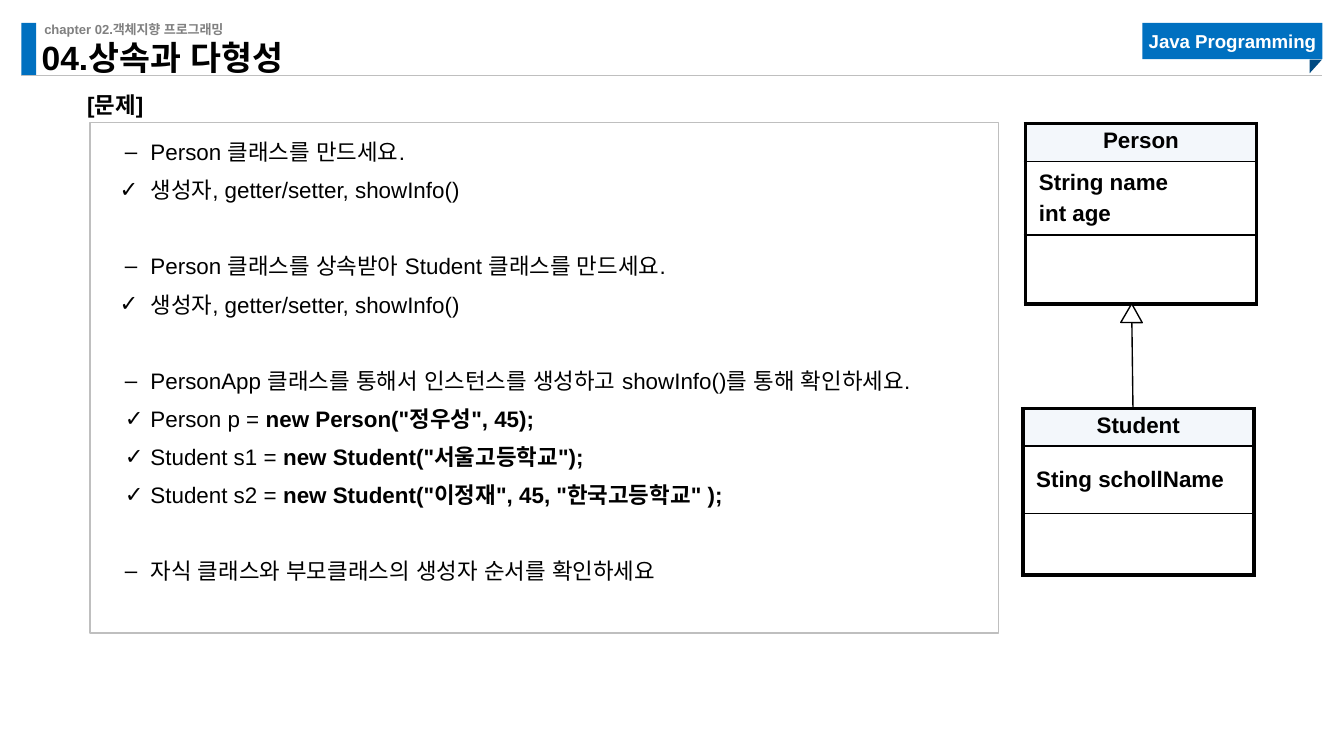
from dataclasses import dataclass

from lxml import etree
from pptx import Presentation
from pptx.dml.color import RGBColor
from pptx.enum.shapes import MSO_CONNECTOR, MSO_SHAPE
from pptx.enum.text import MSO_ANCHOR, PP_ALIGN
from pptx.oxml.ns import qn
from pptx.util import Inches, Pt

RECT, TRIANGLE, CORNER = MSO_SHAPE.RECTANGLE, MSO_SHAPE.ISOSCELES_TRIANGLE, MSO_SHAPE.RIGHT_TRIANGLE
LINE = MSO_CONNECTOR.STRAIGHT
TOP, MIDDLE, BOTTOM = MSO_ANCHOR.TOP, MSO_ANCHOR.MIDDLE, MSO_ANCHOR.BOTTOM
LEFT, CENTER = PP_ALIGN.LEFT, PP_ALIGN.CENTER


@dataclass(frozen=True)
class Theme:
    font: str = "Arial"
    black: str = "000000"
    white: str = "FFFFFF"
    grey: str = "808080"
    rule: str = "BFBFBF"
    blue: str = "0070C0"
    navy: str = "004A82"
    header: str = "F3F7FB"
    small: float = 7
    tag: float = 10
    body: float = 12
    title: float = 18


T = Theme()


def add_run(p, text, size=T.body, color=T.black, bold=False):
    r = p.add_run()
    r.text = text
    r.font.name = T.font
    r.font.size = Pt(size)
    r.font.bold = bold
    r.font.color.rgb = RGBColor.from_string(color)
    latin = r.font._element.find(qn("a:latin"))
    latin.addnext(latin.makeelement(qn("a:ea"), {"typeface": T.font}))


def add_shape(kind, box, fill=None, line=None, rotation=0):
    sp = s.shapes.add_shape(kind, *map(Inches, box))
    sp.shadow.inherit = False
    sp.rotation = rotation
    if fill:
        sp.fill.solid()
        sp.fill.fore_color.rgb = RGBColor.from_string(fill)
    else:
        sp.fill.background()
    if line:
        sp.line.color.rgb = RGBColor.from_string(line)
        sp.line.width = Pt(0.75)
    else:
        sp.line.fill.background()
    return sp


# Widescreen 16:9 slide
prs = Presentation()
prs.slide_width = Inches(10)
prs.slide_height = prs.slide_width * 9 // 16
s = prs.slides.add_slide(prs.slide_layouts[6])

# Header bar and course tag
add_shape(RECT, (0.16, 0.17, 0.11, 0.39), T.blue)
tag = add_shape(RECT, (8.5, 0.17, 1.34, 0.27), T.blue)
add_shape(CORNER, (9.74, 0.45, 0.1, 0.09), T.navy, rotation=90)
tf = tag.text_frame
tf.margin_left = tf.margin_top = tf.margin_right = tf.margin_bottom = 0
tf.vertical_anchor = MIDDLE
tf.paragraphs[0].alignment = CENTER
add_run(tf.paragraphs[0], "Java Programming", T.tag, T.white, True)

# Chapter, title and section label
for box, text, size, color, anchor, spacing, inset in [
    ((0.33, 0.16, 3.23, 0.12), "chapter 02.객체지향 프로그래밍", T.small, T.grey, TOP, 1, (0, 0)),
    ((0.31, 0.35, 3.3, 0.23), "04.상속과 다형성", T.title, T.black, BOTTOM, 0.9, (0, 0)),
    ((0.55, 0.63, 2.38, 0.3), "[문제]", T.body, T.black, TOP, 1, (0.1, 0.05)),
]:
    tf = s.shapes.add_textbox(*map(Inches, box)).text_frame
    tf.word_wrap = True
    tf.margin_left = tf.margin_right = Inches(inset[0])
    tf.margin_top = tf.margin_bottom = Inches(inset[1])
    tf.vertical_anchor = anchor
    p = tf.paragraphs[0]
    p.line_spacing = spacing
    add_run(p, text, size, color, True)

# Class diagrams
for left, top, heights, name, fields in [
    (7.63, 0.92, (0.28, 0.55, 0.51), "Person", ["String name", "int age"]),
    (7.61, 3.04, (0.28, 0.5, 0.46), "Student", ["Sting schollName"]),
]:
    frame = s.shapes.add_table(3, 1, *map(Inches, (left, top, 1.72, sum(heights))))
    table = frame.table
    table.first_row = table.horz_banding = False
    for i, (height, lines) in enumerate(zip(heights, ([name], fields, []))):
        table.rows[i].height = Inches(height)
        cell = table.cell(i, 0)
        cell.vertical_anchor = MIDDLE if i == 1 else TOP
        for j, text in enumerate(lines):
            p = cell.text_frame.add_paragraph() if j else cell.text_frame.paragraphs[0]
            p.alignment = LEFT if i else CENTER
            if j:
                p.space_before = Pt(3)
            if i == 0:
                p.line_spacing = 0.9
            add_run(p, text, bold=True)
        # Thick outer borders, thin dividers
        tc_pr = cell._tc.get_or_add_tcPr()
        widths = {"L": 2.25, "R": 2.25, "T": 1 if i else 2.25, "B": 2.25 if i == 2 else 1}
        for side, width in widths.items():
            ln = etree.SubElement(tc_pr, qn(f"a:ln{side}"), w=str(Pt(width)))
            solid = etree.SubElement(ln, qn("a:solidFill"))
            etree.SubElement(solid, qn("a:srgbClr"), val=T.black)
        if i:
            cell.fill.background()
        else:
            cell.fill.solid()
            cell.fill.fore_color.rgb = RGBColor.from_string(T.header)

# Header rule and inheritance arrow
for start, end, color, width, arrow in [
    ((0.16, 0.56), (9.84, 0.56), T.rule, 0.5, False),
    ((8.43, 3.04), (8.42, 2.26), T.black, 0.75, True),
]:
    line = s.shapes.add_connector(LINE, *map(Inches, start + end))
    line.line.color.rgb = RGBColor.from_string(color)
    line.line.width = Pt(width)
    if arrow:
        etree.SubElement(line.line._get_or_add_ln(), qn("a:tailEnd"), type="triangle")
    etree.SubElement(line._element.spPr, qn("a:effectLst"))
add_shape(TRIANGLE, (8.34, 2.26, 0.16, 0.14), T.white, T.black, 0.5)

# Exercise panel: bullet, hanging indent, plain text, bold text; groups set apart
DASH, CHECK = "–", "✓"
GROUPS = [
    [(DASH, 0.19, "Person 클래스를 만드세요.", ""),
     (CHECK, 0.23, "생성자, getter/setter, showInfo()", "")],
    [(DASH, 0.19, "Person 클래스를 상속받아 Student 클래스를 만드세요.", ""),
     (CHECK, 0.23, "생성자, getter/setter, showInfo()", "")],
    [(DASH, 0.19, "PersonApp 클래스를 통해서 인스턴스를 생성하고 showInfo()를 통해 확인하세요.", ""),
     (CHECK, 0.19, "Person p = ", 'new Person("정우성", 45);'),
     (CHECK, 0.19, "Student s1 = ", 'new Student("서울고등학교");'),
     (CHECK, 0.19, "Student s2 = ", 'new Student("이정재", 45, "한국고등학교" );')],
    [(DASH, 0.19, "자식 클래스와 부모클래스의 생성자 순서를 확인하세요", "")],
]
panel = add_shape(RECT, (0.67, 0.91, 6.76, 3.8), line=T.rule)
tf = panel.text_frame
tf.word_wrap = True
tf.vertical_anchor = TOP
tf.margin_left = tf.margin_right = Inches(0.16)
tf.margin_top, tf.margin_bottom = Inches(0.12), 0
for g, group in enumerate(GROUPS):
    for i, (bullet, hang, plain, bold) in enumerate(group):
        first = g == i == 0
        p = tf.paragraphs[0] if first else tf.add_paragraph()
        p.alignment = LEFT
        if not first:
            p.space_before = Pt(6 if i else 26.4)
        p_pr = p._p.get_or_add_pPr()
        p_pr.set("marL", str(Inches(0.29)))
        p_pr.set("indent", str(-Inches(hang)))
        etree.SubElement(p_pr, qn("a:buFont"), typeface=T.font)
        etree.SubElement(p_pr, qn("a:buChar"), char=bullet)
        add_run(p, plain)
        if bold:
            add_run(p, bold, bold=True)

prs.save("out.pptx")
